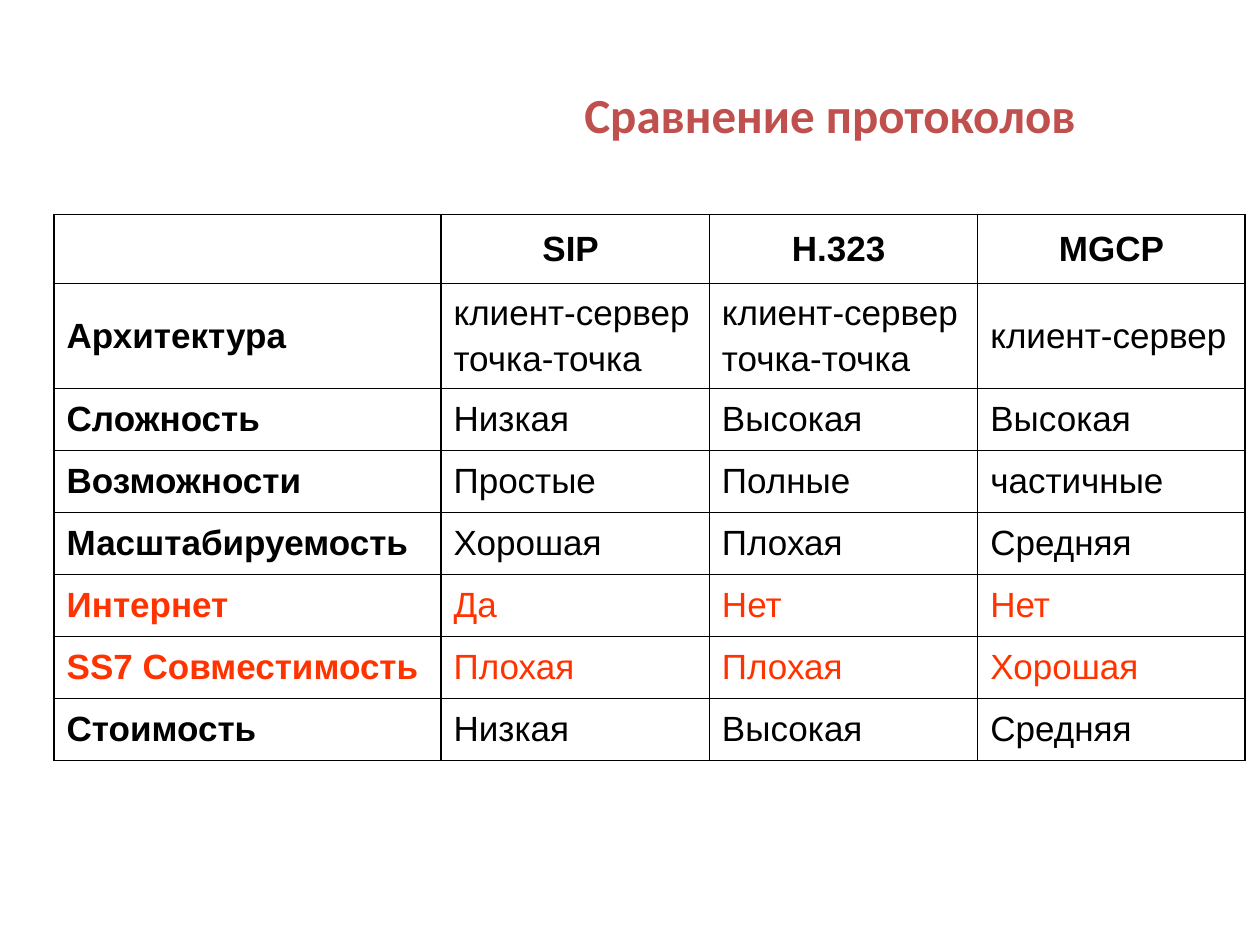
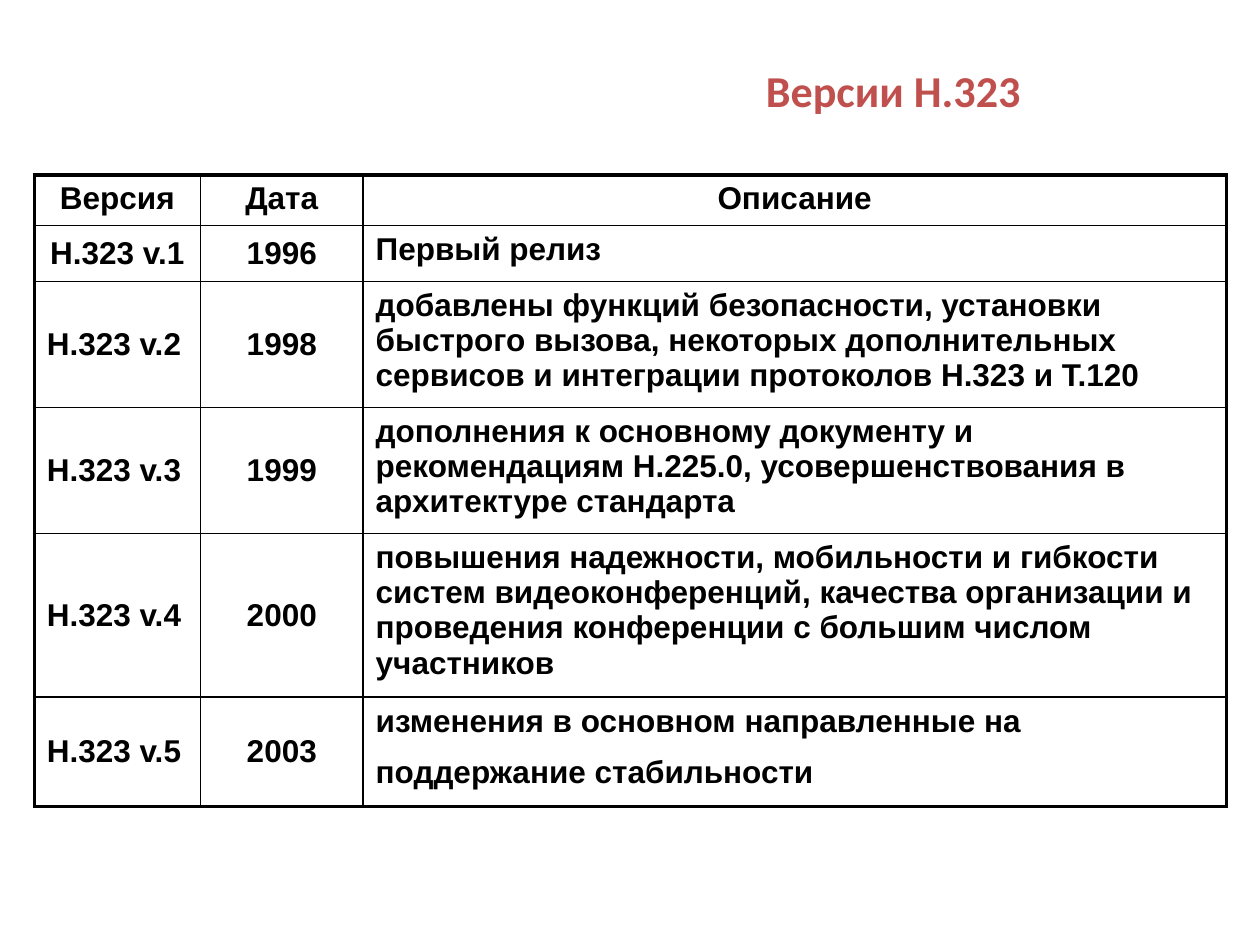
import dataclasses

import pptx
import pptx.dml.color
import pptx.enum.text
import pptx.oxml.ns
import pptx.util
from lxml import etree

Cm = pptx.util.Cm
Pt = pptx.util.Pt
ALIGN = pptx.enum.text.PP_ALIGN
ANCHOR = pptx.enum.text.MSO_ANCHOR


@dataclasses.dataclass(frozen=True)
class Theme:
    title_font: str = "Calibri"
    table_font: str = "Arial"
    title: str = "C0504D"
    text: str = "000000"
    accent: str = "FF3300"
    paper: str = "FFFFFF"
    thin: float = 1
    thick: float = 2.25
    tail_size: float = 28


THEME = Theme()

PROTOCOLS = {
    "title": ("Сравнение протоколов", 28, (9.91, 1.52, 13.64, 1.55)),
    "origin": (1.09, 4.32),
    "columns": [7.8, 5.41, 5.41, 5.39],
    "heights": [1.4, 2.11] + [1.25] * 6,
    "size": 20,
    "frame": THEME.thin,
    "rows": [
        ("", "SIP ", "H.323 ", "MGCP"),
        ("Архитектура", "клиент-сервер\nточка-точка", "клиент-сервер\nточка-точка", "клиент-сервер"),
        ("Сложность", "Низкая", "Высокая", "Высокая"),
        ("Возможности", "Простые", "Полные", "частичные"),
        ("Масштабируемость", "Хорошая", "Плохая", "Средняя"),
        ("Интернет", "Да", "Нет", "Нет"),
        ("SS7 Совместимость", "Плохая", "Плохая", "Хорошая"),
        ("Стоимость", "Низкая", "Высокая", "Средняя"),
    ],
}
ACCENT_ROWS = ("Интернет", "SS7 Совместимость")

VERSIONS = {
    "title": ("Версии Н.323", 25.2, (12.5, 1.12, 11.02, 1.37)),
    "origin": (0.69, 3.53),
    "columns": [3.35, 3.28, 17.4],
    "heights": [1.02, 1.12, 2.54, 2.54, 3.3, 2.2],
    "size": 18,
    "frame": THEME.thick,
    "rows": [
        ("Версия", "Дата", "Описание"),
        ("H.323 v.1", "1996", "Первый релиз"),
        ("H.323 v.2", "1998", "добавлены функций безопасности, установки быстрого вызова, "
         "некоторых дополнительных сервисов и интеграции протоколов H.323 и T.120"),
        ("H.323 v.3", "1999", "дополнения к основному документу и рекомендациям H.225.0, "
         "усовершенствования в архитектуре стандарта"),
        ("H.323 v.4", "2000", "повышения надежности, мобильности и гибкости систем "
         "видеоконференций, качества организации и проведения конференции с большим "
         "числом участников"),
        ("H.323 v.5", "2003", "изменения в основном направленные на поддержание стабильности"),
    ],
}


def protocol_style(row, column, label):
    return {
        "bold": row == 0 or column == 0,
        "color": THEME.accent if label in ACCENT_ROWS else THEME.text,
        "align": ALIGN.CENTER if row == 0 else ALIGN.LEFT,
        "anchor": ANCHOR.MIDDLE,
    }


def version_style(row, column, label):
    centered = row == 0 or column == 1 or (row, column) == (1, 0)
    return {
        "bold": True,
        "color": THEME.text,
        "align": ALIGN.CENTER if centered else ALIGN.LEFT,
        "anchor": ANCHOR.TOP if row == 0 or column == 2 else ANCHOR.MIDDLE,
    }


def rgb(value):
    return pptx.dml.color.RGBColor.from_string(value)


def add_span(para, text, font, size, color, bold):
    span = para.add_run()
    span.text = text
    span.font.name = font
    span.font.size = Pt(size)
    span.font.color.rgb = rgb(color)
    span.font.bold = bold


def add_title(page, text, size, place):
    frame = page.shapes.add_textbox(*map(Cm, place)).text_frame
    frame.word_wrap = True
    frame.vertical_anchor = ANCHOR.MIDDLE
    para = frame.paragraphs[0]
    para.alignment = ALIGN.CENTER
    add_span(para, text, THEME.title_font, size, THEME.title, True)


def set_borders(cell, widths):
    properties = cell._tc.get_or_add_tcPr()
    for index, (side, width) in enumerate(zip("LRTB", widths)):
        line = etree.Element(pptx.oxml.ns.qn(f"a:ln{side}"), w=str(Pt(width)))
        fill = etree.SubElement(line, pptx.oxml.ns.qn("a:solidFill"))
        etree.SubElement(fill, pptx.oxml.ns.qn("a:srgbClr"), val=THEME.text)
        properties.insert(index, line)


def fill_cell(cell, text, size, style):
    cell.fill.solid()
    cell.fill.fore_color.rgb = rgb(THEME.paper)
    cell.vertical_anchor = style["anchor"]
    frame = cell.text_frame
    for index, line in enumerate(text.split("\n")):
        para = frame.add_paragraph() if index else frame.paragraphs[0]
        para.alignment = style["align"]
        if index:
            para.space_before = Pt(size * 0.2)
        if line:
            add_span(para, line, THEME.table_font, size, style["color"], style["bold"])


def add_grid(page, content, style_for):
    rows, columns, heights = content["rows"], content["columns"], content["heights"]
    place = (*content["origin"], sum(columns), sum(heights))
    table = page.shapes.add_table(len(rows), len(columns), *map(Cm, place)).table
    table.first_row = table.horz_banding = False
    for column, width in zip(table.columns, columns):
        column.width = Cm(width)
    for row, height in zip(table.rows, heights):
        row.height = Cm(height)
    for r, texts in enumerate(rows):
        for c, text in enumerate(texts):
            cell = table.cell(r, c)
            fill_cell(cell, text, content["size"], style_for(r, c, texts[0]))
            outer = (c == 0, c == len(columns) - 1, r == 0, r == len(rows) - 1)
            set_borders(cell, [content["frame"] if edge else THEME.thin for edge in outer])
    return table


def add_page(deck, content, style_for):
    page = deck.slides.add_slide(deck.slide_layouts[6])
    add_title(page, *content["title"])
    return add_grid(page, content, style_for)


def main():
    deck = pptx.Presentation()
    deck.slide_width, deck.slide_height = Cm(25.4), Cm(19.05)
    add_page(deck, PROTOCOLS, protocol_style)
    versions = add_page(deck, VERSIONS, version_style)
    last_para = versions.cell(len(VERSIONS["rows"]) - 1, 2).text_frame.paragraphs[0]
    add_span(last_para, " ", THEME.table_font, THEME.tail_size, THEME.text, False)
    deck.save("out.pptx")


if __name__ == "__main__":
    main()
